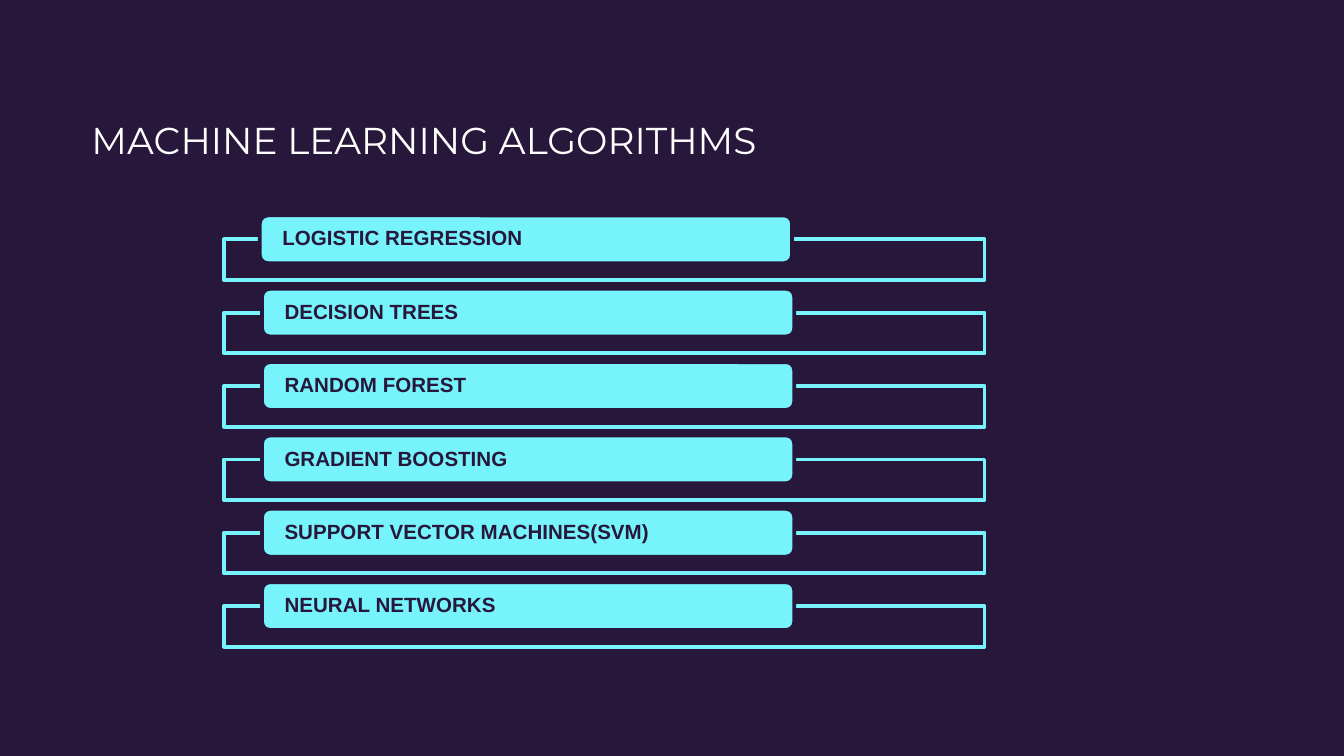
from pptx import Presentation
from pptx.dml.color import RGBColor
from pptx.enum.shapes import MSO_SHAPE
from pptx.enum.text import MSO_ANCHOR, MSO_AUTO_SIZE, PP_ALIGN
from pptx.util import Pt

RECT, ROUND = MSO_SHAPE.RECTANGLE, MSO_SHAPE.ROUNDED_RECTANGLE
MIDDLE, LEFT, FIXED = MSO_ANCHOR.MIDDLE, PP_ALIGN.LEFT, MSO_AUTO_SIZE.NONE

COLORS = {"night": "27173A", "cyan": "76F3FB", "white": "FFFFFF"}
NAMES = [
    "LOGISTIC REGRESSION",
    "DECISION TREES",
    "RANDOM FOREST",
    "GRADIENT BOOSTING",
    "SUPPORT VECTOR MACHINES(SVM)",
    "NEURAL NETWORKS",
]


def color(name):
    return RGBColor.from_string(COLORS[name])


class Deck:
    """Holds the style and the current slide."""

    heading = {"name": "Montserrat", "size": Pt(20), "bold": False}
    label = {"name": "Arial", "size": Pt(11), "bold": True}

    def __init__(self, width, height):
        self.file = Presentation()
        self.file.slide_width, self.file.slide_height = Pt(width), Pt(height)

    def add(self):
        self.slide = self.file.slides.add_slide(self.file.slide_layouts[5])
        fill = self.slide.background.fill
        fill.solid()
        fill.fore_color.rgb = color("night")

    def letter(self, shape, text, font, tint, side, edge):
        frame = shape.text_frame
        form = {
            "text": text, "word_wrap": True, "auto_size": FIXED,
            "vertical_anchor": MIDDLE,
            "margin_left": Pt(side), "margin_right": Pt(side),
            "margin_top": Pt(edge), "margin_bottom": Pt(edge),
        }
        for key, value in form.items():
            setattr(frame, key, value)
        line = frame.paragraphs[0]
        line.alignment = LEFT
        run = line.runs[0].font
        for key, value in font.items():
            setattr(run, key, value)
        run.color.rgb = color(tint)
        return line

    def title(self, text, left, top, width, height):
        shape = self.slide.shapes.title
        place = {"left": left, "top": top, "width": width, "height": height}
        for key, value in place.items():
            setattr(shape, key, Pt(value))
        self.letter(shape, text, self.heading, "white", 7.2, 7.2)

    def box(self, kind, fill, edge, *place):
        shape = self.slide.shapes.add_shape(kind, *map(Pt, place))
        shape.shadow.inherit = False
        shape.fill.solid()
        shape.fill.fore_color.rgb = color(fill)
        shape.line.color.rgb = color(edge)
        shape.line.width = Pt(2)
        return shape

    def tag(self, text, *place):
        shape = self.box(ROUND, "cyan", "night", *place)
        line = self.letter(shape, text, self.label, "night", 10.8, 0)
        line.line_spacing = 0.9


def main():
    deck = Deck(720, 405)
    deck.add()

    # Title
    deck.title("MACHINE LEARNING ALGORITHMS", 41.8, 45.4, 621.4, 58.3)

    # One frame with a name tag per algorithm; the first tag sits further left
    for row, name in enumerate(NAMES):
        top = 115.4 + row * 39.3
        left = 140.4 if row else 139.2
        deck.box(RECT, "night", "cyan", 120, top + 12.8, 407.5, 21.8)
        deck.tag(name, left, top, 285.1, 25.6)

    deck.file.save("out.pptx")


if __name__ == "__main__":
    main()
